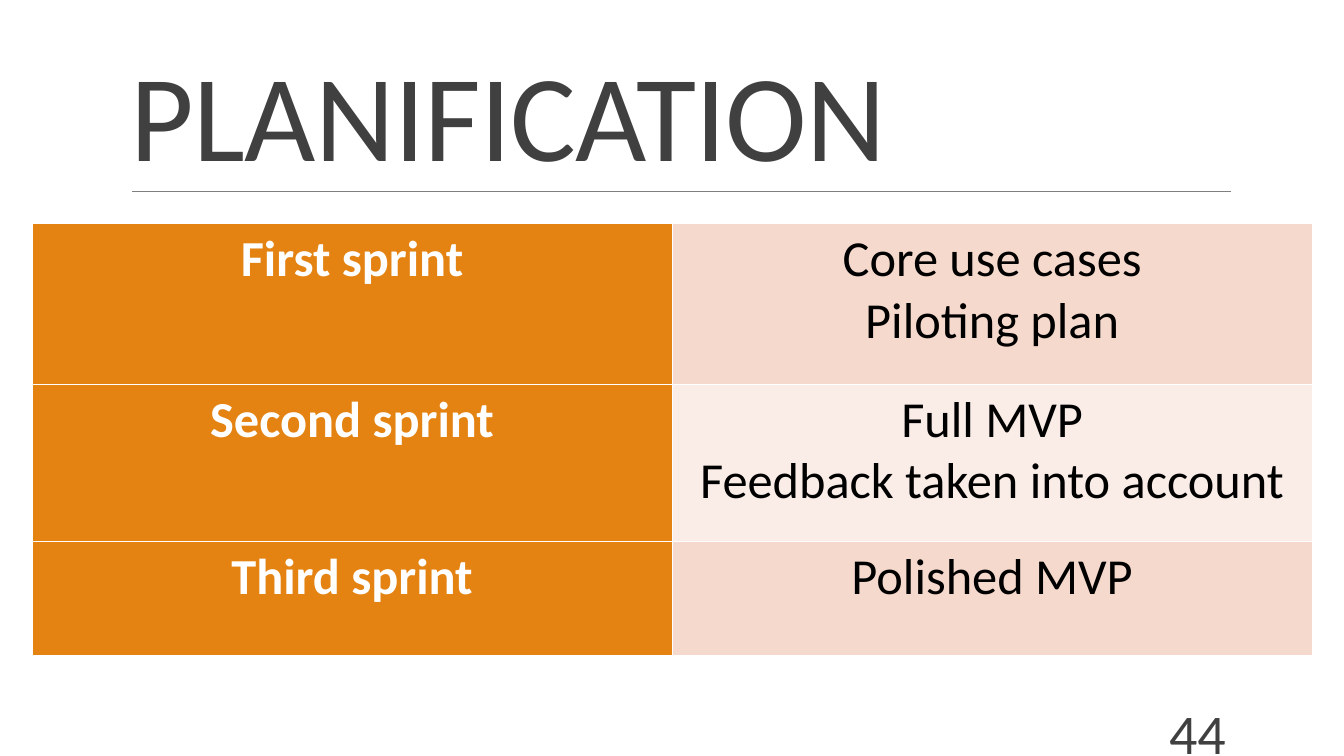
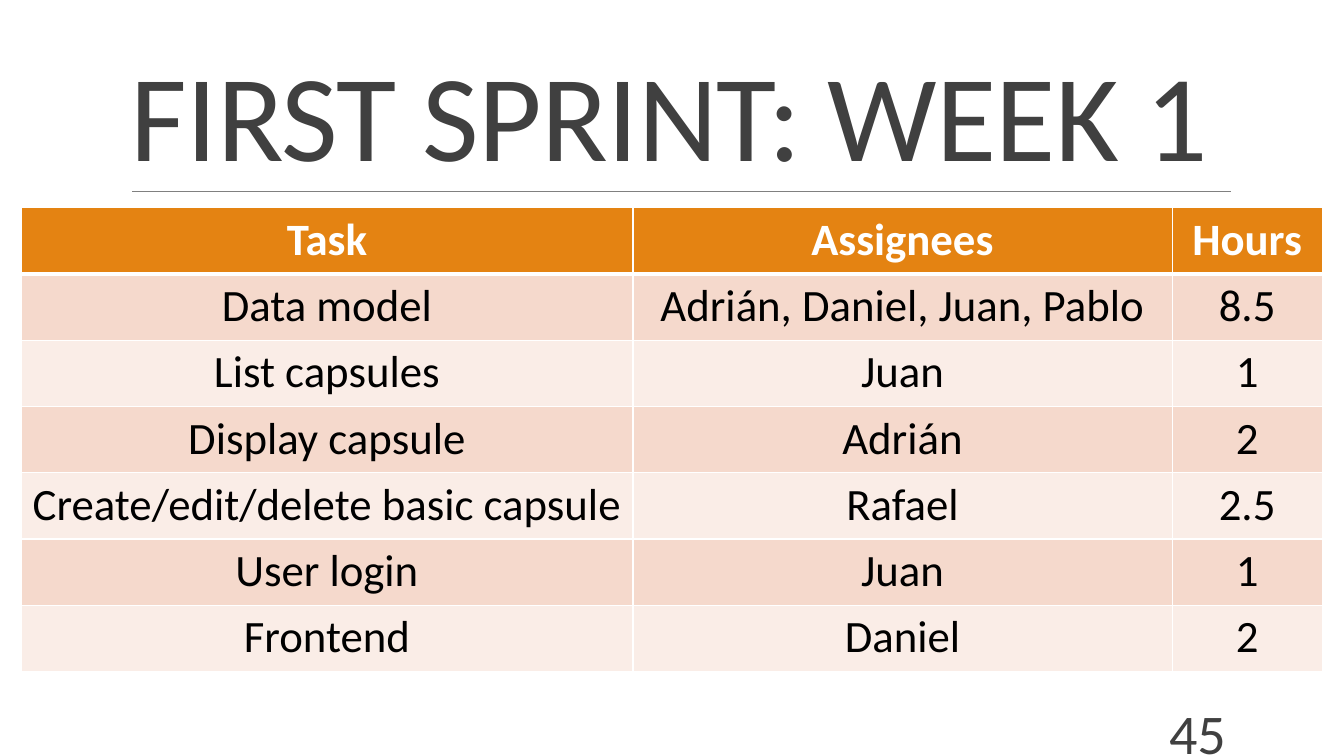
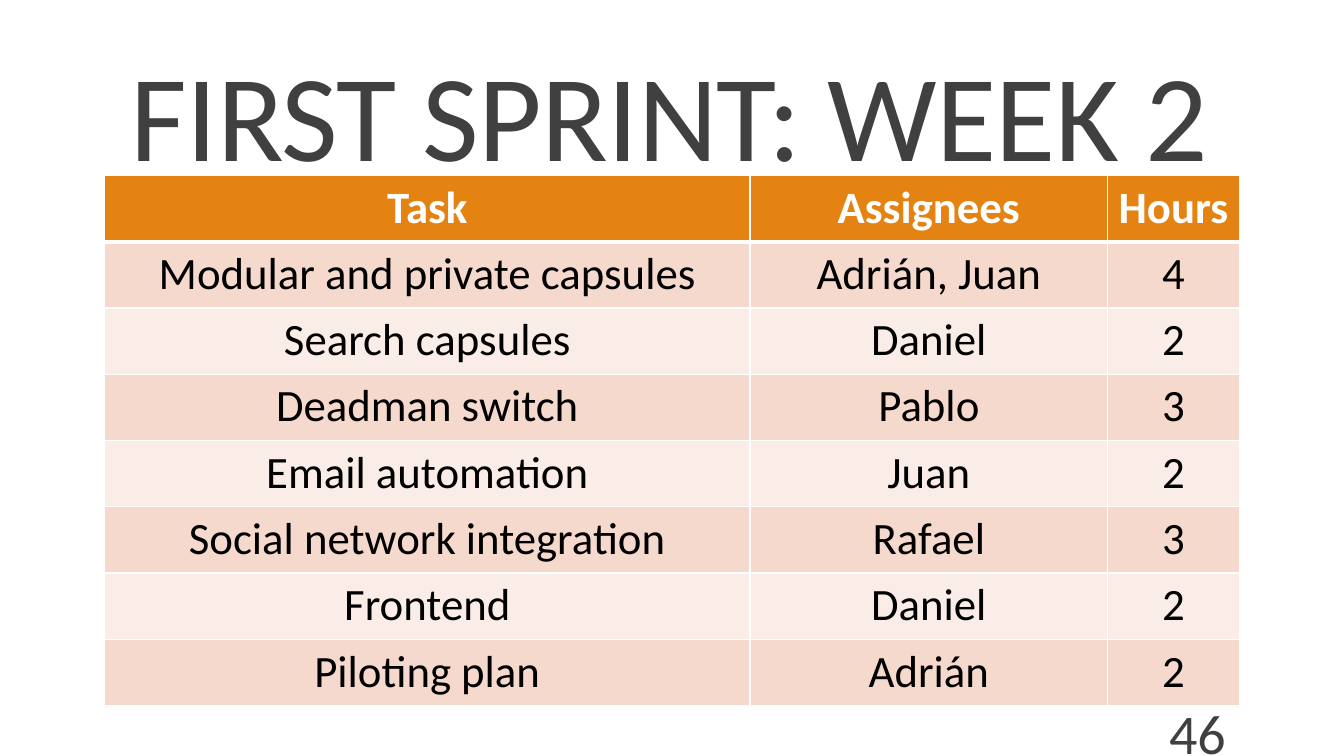
import pptx
import pptx.dml.color
import pptx.enum.shapes
import pptx.enum.text
import pptx.oxml.ns
import pptx.util
from lxml import etree

Cm, Pt = pptx.util.Cm, pptx.util.Pt
Align = pptx.enum.text.PP_ALIGN
Anchor = pptx.enum.text.MSO_ANCHOR
qn = pptx.oxml.ns.qn


def rgb(code):
    return pptx.dml.color.RGBColor.from_string(code)


def write(frame, text, tint, font, para):
    """Fill a text frame, one paragraph per line of text."""
    frame.word_wrap = True
    for num, line in enumerate(text.split("\n")):
        part = frame.add_paragraph() if num else frame.paragraphs[0]
        run = part.add_run()
        run.text = line
        run.font.color.rgb = rgb(tint)
        for key, val in font.items():
            setattr(run.font, key, val)
        for key, val in para.items():
            setattr(part, key, val)


# Shared look
face = "Calibri"
grey, ruled, white, black = "404040", "808080", "FFFFFF", "000000"
amber, bands = "E48312", ["F5D9CC", "FAEDE7"]
big = {"name": face, "size": Pt(88)}
small = {"name": face, "size": Pt(40)}
first = 44  # number of the first slide

# Content: lengths in cm; head says whether the top row or left column is bold
pages = [
    {
        "title": "PLANIFICATION", "head": "column", "size": 36,
        "left": 0.81, "top": 5.64,
        "wide": [16.13, 16.13], "high": [4.04, 3.96, 2.87],
        "rows": [
            ["First sprint", "Core use cases\nPiloting plan"],
            ["Second sprint", "Full MVP\nFeedback taken into account"],
            ["Third sprint", "Polished MVP"],
        ],
    },
    {
        "title": "FIRST SPRINT: WEEK 1", "head": "row", "size": 32,
        "left": 0.53, "top": 5.23,
        "wide": [15.42, 13.59, 3.78], "high": [1.67] * 7,
        "rows": [
            ["Task", "Assignees", "Hours"],
            ["Data model", "Adrián, Daniel, Juan, Pablo", "8.5"],
            ["List capsules", "Juan", "1"],
            ["Display capsule", "Adrián", "2"],
            ["Create/edit/delete basic capsule", "Rafael", "2.5"],
            ["User login", "Juan", "1"],
            ["Frontend", "Daniel", "2"],
        ],
    },
    {
        "title": "FIRST SPRINT: WEEK 2", "head": "row", "size": 32,
        "left": 2.64, "top": 4.42,
        "wide": [16.26, 9.02, 3.31], "high": [1.67] * 8,
        "rows": [
            ["Task", "Assignees", "Hours"],
            ["Modular and private capsules", "Adrián, Juan", "4"],
            ["Search capsules", "Daniel", "2"],
            ["Deadman switch", "Pablo", "3"],
            ["Email automation", "Juan", "2"],
            ["Social network integration", "Rafael", "3"],
            ["Frontend", "Daniel", "2"],
            ["Piloting plan", "Adrián", "2"],
        ],
    },
]

deck = pptx.Presentation()
deck.slide_width, deck.slide_height = Cm(33.87), Cm(19.05)

for num, page in enumerate(pages, first):
    slide = deck.slides.add_slide(deck.slide_layouts[6])
    shapes = slide.shapes

    # Rule under the title
    rule = shapes.add_connector(
        pptx.enum.shapes.MSO_CONNECTOR.STRAIGHT,
        Cm(3.33), Cm(4.83), Cm(31.01), Cm(4.83))
    rule.line.color.rgb = rgb(ruled)
    rule.line.width = Pt(0.5)
    etree.SubElement(rule.element.spPr, qn("a:effectLst"))

    # Title
    frame = shapes.add_textbox(Cm(3.05), Cm(0.79), Cm(27.94), Cm(4.04)).text_frame
    frame.vertical_anchor = Anchor.BOTTOM
    write(frame, page["title"], grey, big, {"line_spacing": 0.85})
    frame.paragraphs[0].runs[0].font.element.set("spc", "-50") if hasattr(
        frame.paragraphs[0].runs[0].font, "element") else (
        frame.paragraphs[0].runs[0]._r.get_or_add_rPr().set("spc", "-50"))

    # Slide number
    frame = shapes.add_textbox(Cm(27.51), Cm(17.93), Cm(3.63), Cm(1.02)).text_frame
    frame.vertical_anchor = Anchor.MIDDLE
    write(frame, str(num), grey, small, {"alignment": Align.RIGHT})

    # Table
    wide, high, rows = page["wide"], page["high"], page["rows"]
    table = shapes.add_table(
        len(rows), len(wide), Cm(page["left"]), Cm(page["top"]),
        Cm(sum(wide)), Cm(sum(high))).table
    for col, width in zip(table.columns, wide):
        col.width = Cm(width)
    for row, height in zip(table.rows, high):
        row.height = Cm(height)
    by_row = page["head"] == "row"
    table.first_row, table.first_col = by_row, not by_row
    table.horz_banding = True

    for y, row in enumerate(rows):
        for x, text in enumerate(row):
            cell = table.cell(y, x)
            head = y == 0 if by_row else x == 0

            # White borders, thick below a header row
            thick = {"T": by_row and y == 1, "B": by_row and y == 0}
            props = cell._tc.get_or_add_tcPr()
            for side in "LRTB":
                width = Pt(3 if thick.get(side) else 1)
                edge = etree.SubElement(props, qn("a:ln" + side), w=str(width))
                fill = etree.SubElement(edge, qn("a:solidFill"))
                etree.SubElement(fill, qn("a:srgbClr"), val=white)

            # Fill and text
            cell.fill.solid()
            cell.fill.fore_color.rgb = rgb(amber if head else bands[(y - by_row) % 2])
            font = {"name": face, "size": Pt(page["size"]), "bold": head}
            write(cell.text_frame, text, white if head else black, font,
                  {"alignment": Align.CENTER})

deck.save("out.pptx")
